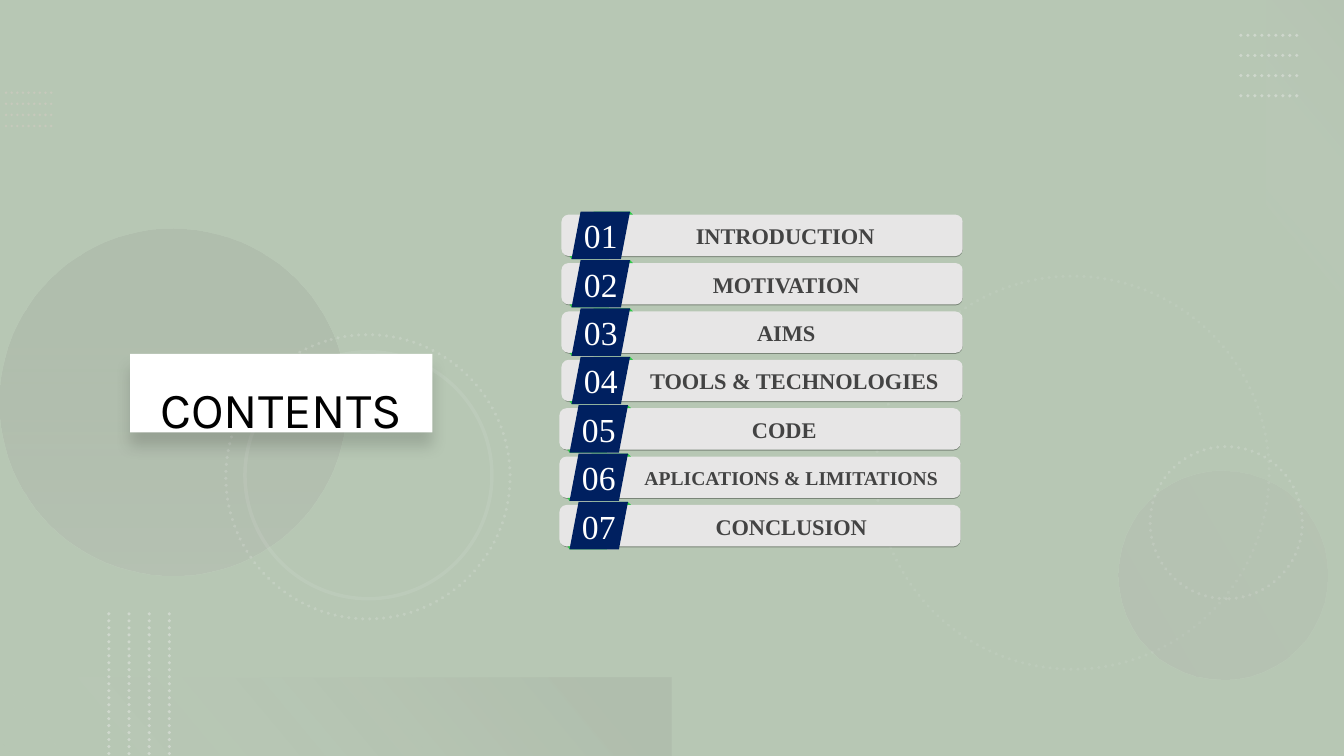
"""Build the contents slide: seven numbered topics on a green backdrop."""
from dataclasses import dataclass
from typing import Optional

from lxml.etree import SubElement
from pptx import Presentation
from pptx.dml.color import RGBColor
from pptx.enum.dml import MSO_LINE
from pptx.enum.shapes import MSO_CONNECTOR, MSO_SHAPE as SHAPE
from pptx.enum.text import MSO_ANCHOR, PP_ALIGN
from pptx.oxml.ns import qn
from pptx.shapes.autoshape import Shape
from pptx.util import Emu, Inches, Pt

COLS, ROWS = 133.33, 75
C = {
    "base": "BBAA9C", "green": "668A60", "white": "FFFFFF", "black": "000000",
    "sand": "D6CCC4", "pale": "F1F0F0", "mist": "F5F5F5", "silver": "AFABAB",
    "grey": "767171", "bar": "E7E6E6", "fold": "2FC948", "navy": "002060",
    "ink": "434343",
}
SERIF = "Times New Roman"
PITCH, FIRST_ROW, BAR_W, BAR_H = 4.8, 21.3, 39.8, 4.1
LOWER_FOLD = [(-0.2, 4.4), (0, 4.7), (3.7, 4.7), (3.7, 4.4)]
UPPER_FOLD = [(2.2, 0), (2.1, 0.3), (6.1, 0.3), (5.8, 0)]
BADGE = [(0.9, 0), (0, 4.7), (4.9, 4.7), (5.8, 0)]


@dataclass
class Stop:
    color: str
    alpha: int
    at: float


@dataclass
class Panel:
    col: float
    row: float
    w: float
    h: float
    kind: SHAPE = SHAPE.RECTANGLE
    color: Optional[str] = None
    alpha: int = 100
    rot: float = 0
    stops: tuple[Stop, ...] = ()
    angle: float = 0


@dataclass
class Ring:
    col: float
    row: float
    size: float
    rot: float
    alpha: int
    dash: MSO_LINE = MSO_LINE.ROUND_DOT


@dataclass
class DotLines:
    col: float
    row: float
    length: float
    step: float
    color: str = "pale"
    width: float = 2.5
    alpha: int = 40
    upright: bool = False


@dataclass
class Topic:
    label: str
    col: float
    label_mid: float
    label_w: float = 21.6
    size: int = 16


BACKDROP = [
    Panel(0, 0, COLS, ROWS, color="green"),
    Panel(0, 0, COLS, ROWS, color="white", alpha=53),
]
DISCS = [
    Panel(0, 22.7, 34.4, 34.4, SHAPE.OVAL, rot=270,
          stops=(Stop("silver", 20, 0), Stop("grey", 10, 1))),
    Panel(111, 46.7, 20.7, 20.7, SHAPE.OVAL, rot=210, angle=300,
          stops=(Stop("silver", 10, 0), Stop("silver", 20, 1))),
]
BANDS = [
    Panel(114.2, 11.4, 30.6, 7.8, rot=270, angle=50,
          stops=(Stop("mist", 0, 0), Stop("silver", 10, 1))),
    Panel(0, 67.2, 66.6, 7.8, rot=180, angle=320,
          stops=(Stop("grey", 10, 0.1), Stop("pale", 0, 1))),
]
RINGS = [
    Ring(86.9, 27.4, 39, 75, 10),
    Ring(114.1, 44.3, 15.1, 270, 20),
    Ring(22.4, 33.2, 28.2, 75, 20),
    Ring(24.3, 34.9, 24.5, 75, 10, MSO_LINE.SOLID),
]
DOT_LINES = [
    DotLines(0.6, 9.2, 4.7, 1.1, "sand", 2, 50),
    DotLines(123.1, 3.5, 6, 2),
    DotLines(10.8, 60.9, 14.1, 2, upright=True),
]
TOPICS = [
    Topic("INTRODUCTION", 55.7, 77.9),
    Topic("MOTIVATION", 55.7, 78),
    Topic("AIMS", 55.7, 78),
    Topic("TOOLS & TECHNOLOGIES", 55.7, 78.8, 35.8),
    Topic("CODE", 55.5, 77.8),
    Topic("APLICATIONS & LIMITATIONS", 55.5, 78.5, 38, 14),
    Topic("CONCLUSION", 55.5, 78.5, 38),
]


def cell(n: float) -> Emu:
    return Inches(n / 10)


def rgb(name: str) -> RGBColor:
    return RGBColor.from_string(C[name])


def fade(element, *alphas: int) -> None:
    for color, alpha in zip(element.iter(qn("a:srgbClr")), alphas):
        SubElement(color, qn("a:alpha"), val=str(alpha * 1000))


def style_line(s, color: str, width: float, dash: MSO_LINE, alpha: int) -> None:
    s.line.color.rgb = rgb(color)
    s.line.width = Pt(width)
    s.line.dash_style = dash
    ln = s._element.spPr.find(qn("a:ln"))
    ln.set("cap", "rnd")
    fade(ln, alpha)


def paint(s: Shape, color: str, alpha: int = 100) -> Shape:
    s.shadow.inherit = False
    s.line.fill.background()
    s.fill.solid()
    s.fill.fore_color.rgb = rgb(color)
    if alpha < 100:
        fade(s._element.spPr, alpha)
    return s


def add_panel(sp, panel: Panel) -> Shape:
    s = sp.add_shape(panel.kind, cell(panel.col), cell(panel.row), cell(panel.w), cell(panel.h))
    s.rotation = panel.rot
    if panel.color:
        return paint(s, panel.color, panel.alpha)
    s.shadow.inherit = False
    s.line.fill.background()
    s.fill.gradient()
    s.fill.gradient_angle = 360 - panel.angle
    for gs, stop in zip(s.fill.gradient_stops, panel.stops):
        gs.color.rgb = rgb(stop.color)
        gs.position = stop.at
    fade(s._element.spPr, *(stop.alpha for stop in panel.stops))
    return s


def add_ring(sp, ring: Ring) -> None:
    s = sp.add_shape(SHAPE.OVAL, cell(ring.col), cell(ring.row), cell(ring.size), cell(ring.size))
    s.rotation = ring.rot
    s.shadow.inherit = False
    s.fill.background()
    style_line(s, "pale", 2.5, ring.dash, ring.alpha)


def add_dot_lines(sp, dots: DotLines) -> None:
    for i in range(4):
        x = dots.col + i * dots.step * dots.upright
        y = dots.row + i * dots.step * (not dots.upright)
        dx, dy = (0, dots.length) if dots.upright else (dots.length, 0)
        s = sp.add_connector(MSO_CONNECTOR.STRAIGHT, cell(x), cell(y), cell(x + dx), cell(y + dy))
        style_line(s, dots.color, dots.width, MSO_LINE.ROUND_DOT, dots.alpha)
        SubElement(s._element.spPr, qn("a:effectLst"))


def add_outline(sp, col: float, row: float, points: list[tuple[float, float]], color: str) -> Shape:
    corners = [(cell(col + x), cell(row + y)) for x, y in points]
    builder = sp.build_freeform(*corners[0])
    builder.add_line_segments(corners[1:])
    return paint(builder.convert_to_shape(), color)


def write(s, text: str, *, size: int, color: str, font: str = SERIF, bold: bool = False,
          spacing: float = 1, inset_y: float = 1) -> None:
    tf = s.text_frame
    tf.word_wrap = True
    tf.vertical_anchor = MSO_ANCHOR.MIDDLE
    tf.margin_left = tf.margin_right = cell(1)
    tf.margin_top = tf.margin_bottom = cell(inset_y)
    p = tf.paragraphs[0]
    p.alignment, p.line_spacing = PP_ALIGN.CENTER, spacing
    r = p.add_run()
    r.text = text
    r.font.name, r.font.size, r.font.bold = font, Pt(size), bold
    r.font.color.rgb = rgb(color)


def add_title(sp) -> None:
    s = add_panel(sp, Panel(12.9, 35.1, 30, 7.8, color="white"))
    effects = s._element.spPr.find(qn("a:effectLst"))
    shadow = SubElement(effects, qn("a:outerShdw"), blurRad=str(Pt(11)), dist=str(Pt(10)),
                        dir="5400000", algn="t", rotWithShape="0")
    SubElement(shadow, qn("a:srgbClr"), val=C["black"])
    fade(shadow, 15)
    write(s, "CONTENTS", size=36, color="black", font="Karla", spacing=1.5, inset_y=0.5)


def add_topic(sp, number: int, topic: Topic) -> None:
    row = FIRST_ROW + (number - 1) * PITCH
    for shift, color, alpha in ((0.1, "black", 33), (0, "bar", 100)):
        s = add_panel(sp, Panel(topic.col + shift, row + shift, BAR_W - shift, BAR_H,
                                SHAPE.ROUNDED_RECTANGLE, color, alpha))
        s.adjustments[0] = 0.17
    left, top = topic.col + 1, row - 0.3
    add_outline(sp, left, top, LOWER_FOLD, "fold")
    add_outline(sp, left, top, UPPER_FOLD, "fold")
    write(add_outline(sp, left, top, BADGE, "navy"), f"{number:02}", size=24, color="white")
    label = sp.add_textbox(cell(topic.label_mid - topic.label_w / 2), cell(row + 1),
                           cell(topic.label_w), cell(2.2))
    write(label, topic.label, size=topic.size, color="ink", bold=True)


def main() -> None:
    prs = Presentation()
    prs.slide_width, prs.slide_height = cell(COLS), cell(ROWS)
    slide = prs.slides.add_slide(prs.slide_layouts[6])
    slide.background.fill.solid()
    slide.background.fill.fore_color.rgb = rgb("base")
    sp = slide.shapes
    for panel in BACKDROP:
        add_panel(sp, panel)
    add_dot_lines(sp, DOT_LINES[0])
    for ring in RINGS[:2]:
        add_ring(sp, ring)
    for panel in DISCS:
        add_panel(sp, panel)
    for ring in RINGS[2:]:
        add_ring(sp, ring)
    for panel, dots in zip(BANDS, DOT_LINES[1:]):
        add_panel(sp, panel)
        add_dot_lines(sp, dots)
    add_title(sp)
    for number, topic in enumerate(TOPICS, 1):
        add_topic(sp, number, topic)
    prs.save("out.pptx")


if __name__ == "__main__":
    main()
